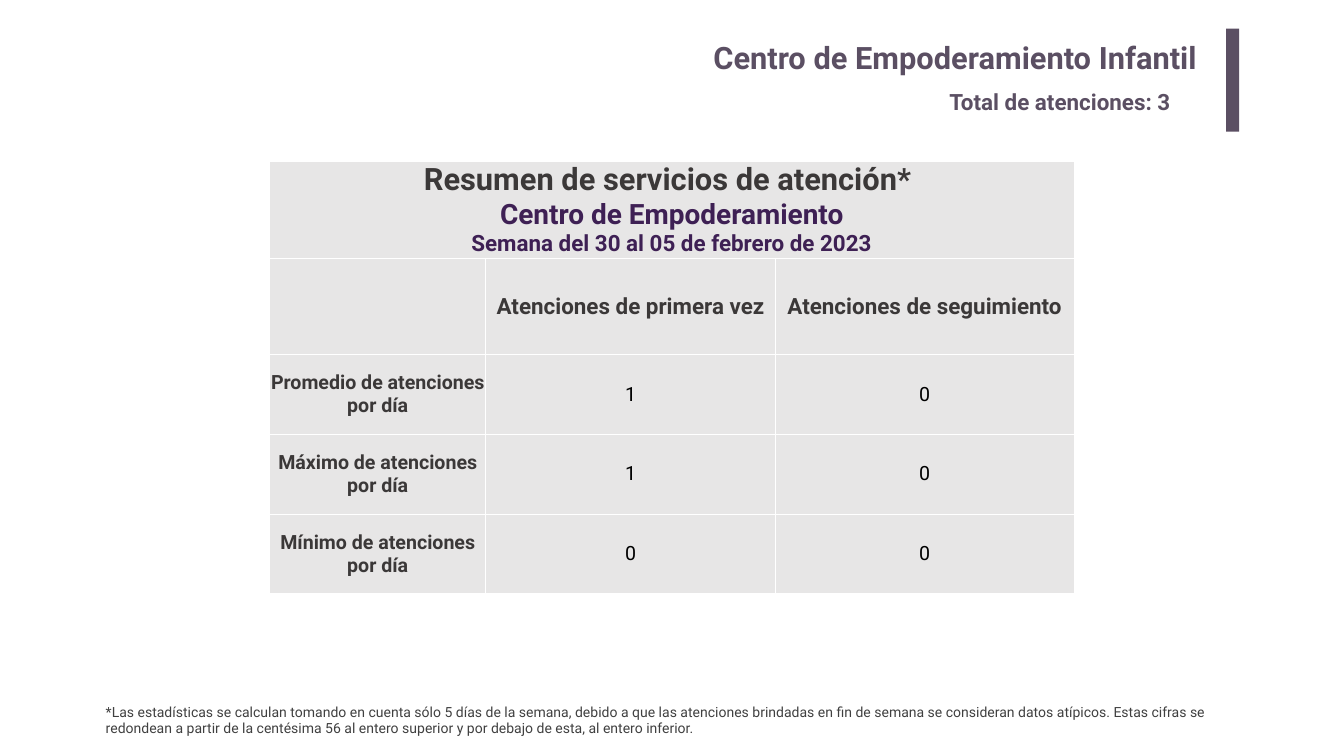
from lxml import etree
from pptx import Presentation
from pptx.dml.color import RGBColor
from pptx.enum.shapes import MSO_SHAPE
from pptx.enum.text import MSO_ANCHOR, PP_ALIGN
from pptx.oxml.ns import qn
from pptx.util import Inches, Pt

RECTANGLE = MSO_SHAPE.RECTANGLE
MIDDLE = MSO_ANCHOR.MIDDLE
LEFT, CENTER, RIGHT = PP_ALIGN.LEFT, PP_ALIGN.CENTER, PP_ALIGN.RIGHT

FONT = "Roboto"
COLORS = {
    "accent": "5B4F63",
    "purple": "3E2054",
    "heading": "3B3838",
    "value": "000000",
    "note": "404040",
    "cell": "E7E6E6",
    "border": "FFFFFF",
}

SUMMARY_TITLE = [
    ("Resumen de servicios de atención* ", 44, "heading"),
    ("Centro de Empoderamiento", 40, "purple"),
    ("Semana del 30 al 05 de febrero de 2023", 32, "purple"),
]
SERVICES = ["", "Atenciones de primera vez", "Atenciones de seguimiento"]
STATISTICS = [
    ("Promedio de atenciones por día", "1", "0"),
    ("Máximo de atenciones por día", "1", "0"),
    ("Mínimo de atenciones por día", "0", "0"),
]
COLUMN_WIDTHS = [4.29, 5.75, 5.92]
ROW_HEIGHTS = [1.92, 1.92, 1.58, 1.58, 1.58]
FOOTNOTE = (
    "*Las estadísticas se calculan tomando en cuenta sólo 5 días de la semana, "
    "debido a que las atenciones brindadas en fin de semana se consideran datos "
    "atípicos. Estas cifras se redondean a partir de la centésima 56 al entero "
    "superior y por debajo de esta, al entero inferior."
)


def rgb(name):
    return RGBColor.from_string(COLORS[name])


def write(paragraph, text, size, color, bold=False, align=LEFT):
    paragraph.text = text
    paragraph.alignment = align
    for run in paragraph.runs:
        font = run.font
        font.name, font.size, font.bold = FONT, Pt(size), bold
        font.color.rgb = rgb(color)


def add_text(slide, box, text, size, color, bold=False, align=LEFT, insets=(0.1, 0.05)):
    frame = slide.shapes.add_textbox(*map(Inches, box)).text_frame
    frame.word_wrap = True
    frame.margin_left = frame.margin_right = Inches(insets[0])
    frame.margin_top = frame.margin_bottom = Inches(insets[1])
    write(frame.paragraphs[0], text, size, color, bold, align)


def style_cell(cell):
    cell.margin_left = cell.margin_right = cell.margin_top = cell.margin_bottom = 0
    cell.vertical_anchor = MIDDLE
    properties = cell._tc.get_or_add_tcPr()
    for side in ("a:lnL", "a:lnR", "a:lnT", "a:lnB"):
        line = etree.SubElement(properties, qn(side), w=str(Pt(1)))
        solid = etree.SubElement(line, qn("a:solidFill"))
        etree.SubElement(solid, qn("a:srgbClr"), val=COLORS["border"])
    cell.fill.solid()
    cell.fill.fore_color.rgb = rgb("cell")


def add_header(slide, left, top, width, height):
    # Centre name and total, right-hand side
    add_text(slide, (left, top + 0.1, 20.3, 1.02), "Centro de Empoderamiento Infantil",
             44, "accent", True, RIGHT, (0.2, 0.1))
    add_text(slide, (left + 15.08, top + 1.12, 5.28, 0.64), "Total de atenciones: 3",
             32, "accent", True)
    # Accent bar at the right edge
    bar_width = 0.26
    bar = slide.shapes.add_shape(RECTANGLE, Inches(left + width - bar_width), Inches(top),
                                 Inches(bar_width), Inches(height))
    bar.shadow.inherit = False
    bar.fill.solid()
    bar.fill.fore_color.rgb = rgb("accent")
    bar.line.fill.background()


def add_summary(slide, left, top):
    box = (left, top, sum(COLUMN_WIDTHS), sum(ROW_HEIGHTS))
    table = slide.shapes.add_table(len(ROW_HEIGHTS), len(COLUMN_WIDTHS),
                                   *map(Inches, box)).table
    for column, width in zip(table.columns, COLUMN_WIDTHS):
        column.width = Inches(width)
    for row, height in zip(table.rows, ROW_HEIGHTS):
        row.height = Inches(height)
    for cell in table.iter_cells():
        style_cell(cell)

    # Title across all columns
    title = table.cell(0, 0)
    title.merge(table.cell(0, len(COLUMN_WIDTHS) - 1))
    frame = title.text_frame
    for index, (text, size, color) in enumerate(SUMMARY_TITLE):
        paragraph = frame.add_paragraph() if index else frame.paragraphs[0]
        write(paragraph, text, size, color, True, CENTER)

    # Service headings, then one row for each statistic
    for r, texts in enumerate([SERVICES, *STATISTICS], start=1):
        for c, text in enumerate(texts):
            is_heading = r == 1 or c == 0
            write(table.cell(r, c).text_frame.paragraphs[0], text, 32 if r == 1 else 28,
                  "heading" if is_heading else "value", is_heading, CENTER)


def main():
    presentation = Presentation()
    presentation.slide_width = Inches(26.67)
    presentation.slide_height = Inches(15)
    slide = presentation.slides.add_slide(presentation.slide_layouts[6])
    add_summary(slide, 5.35, 3.2)
    add_header(slide, 3.66, 0.57, 20.93, 2.04)
    add_text(slide, (2, 13.9, 22.33, 0.77), FOOTNOTE, 20, "note")
    presentation.save("out.pptx")


if __name__ == "__main__":
    main()
